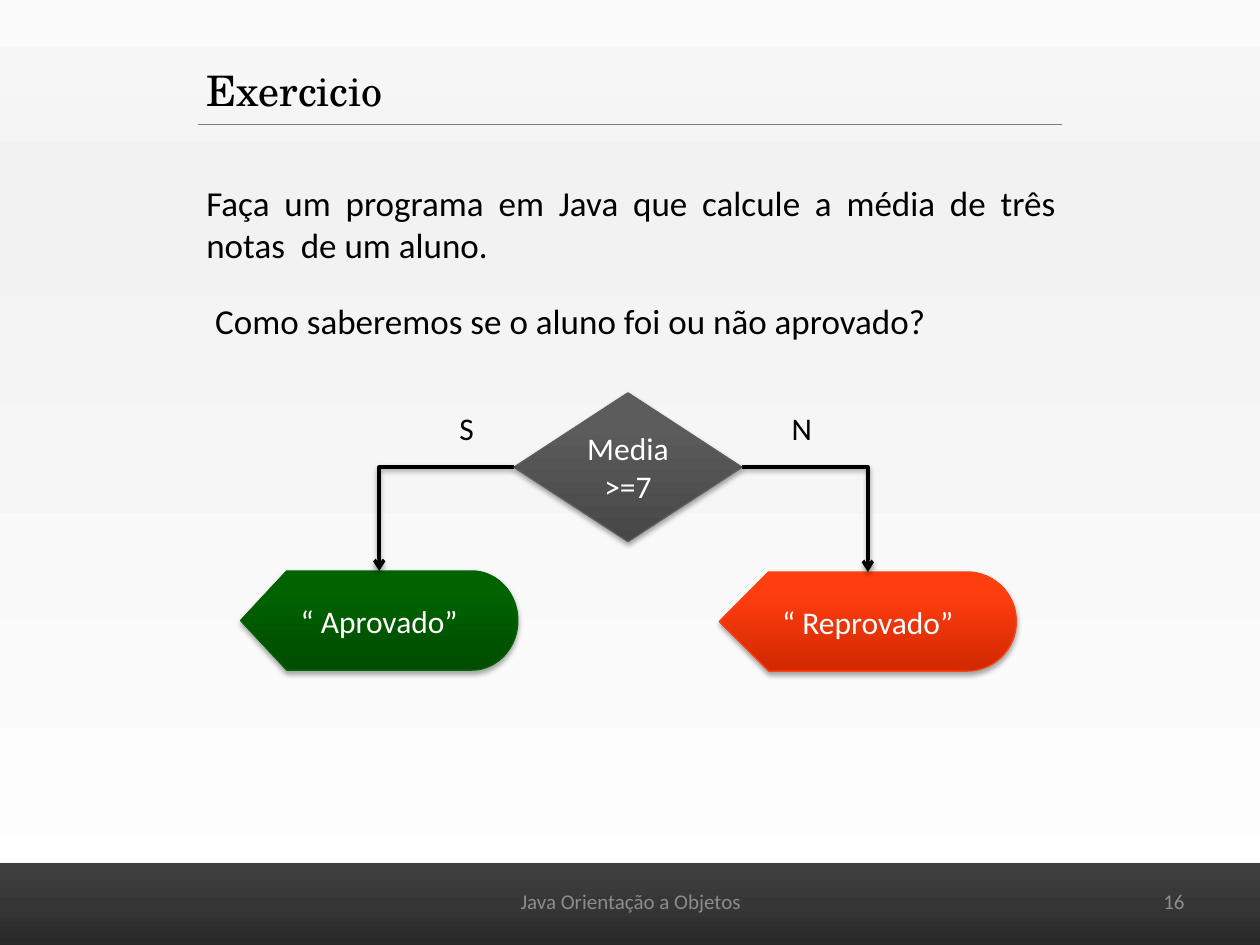
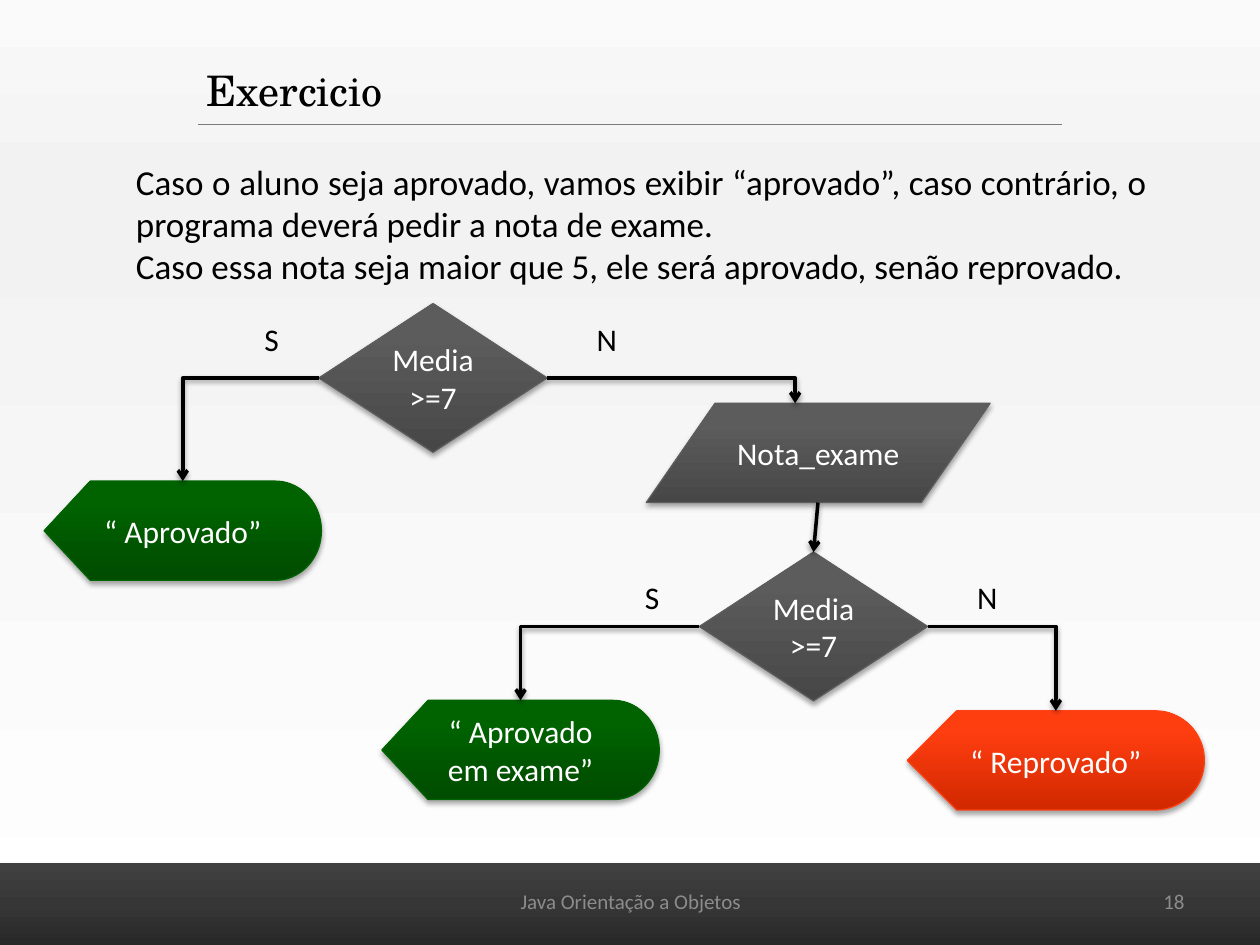
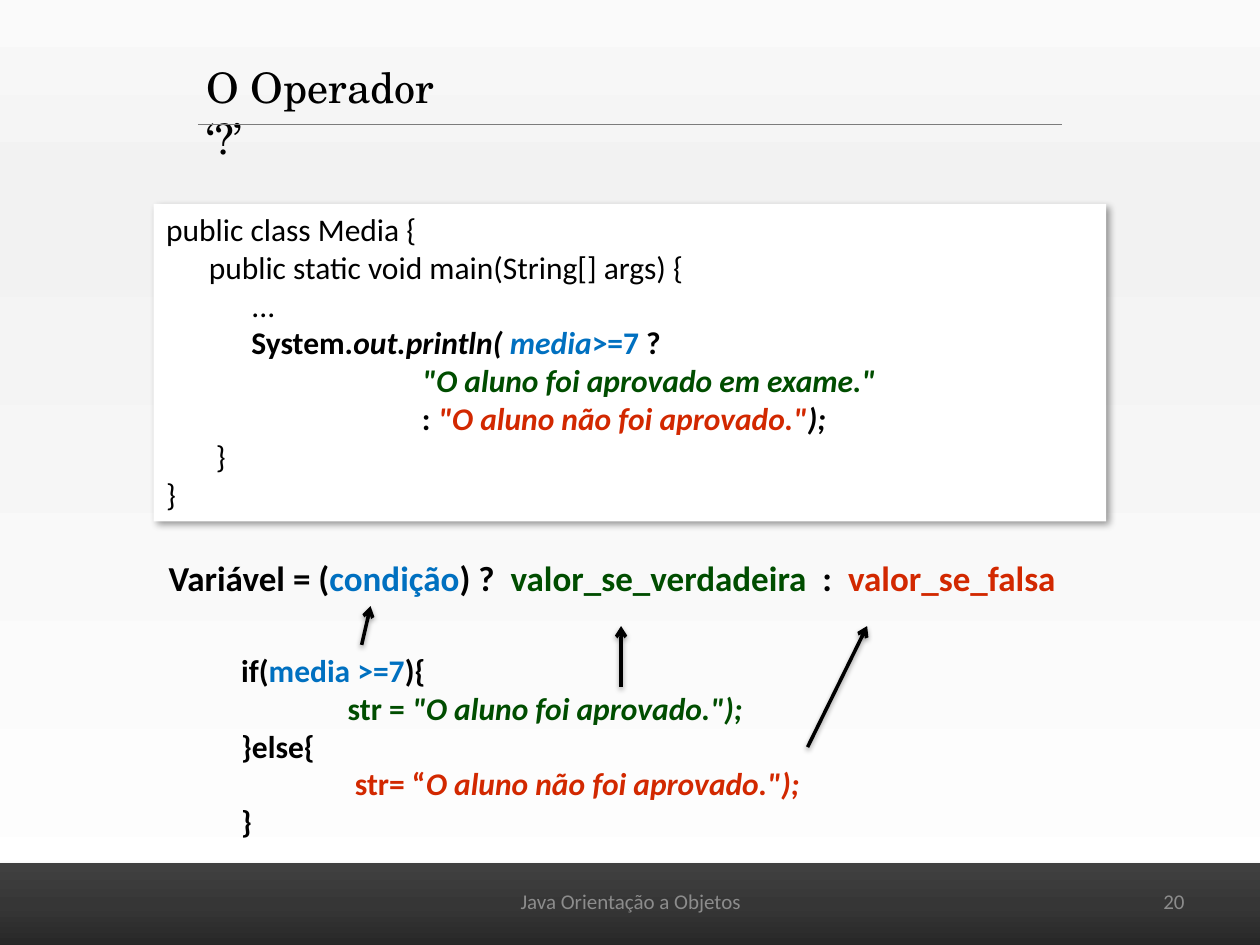
from dataclasses import dataclass
from typing import Optional

from pptx import Presentation
from pptx.dml.color import RGBColor
from pptx.enum.shapes import MSO_CONNECTOR, MSO_SHAPE
from pptx.enum.text import MSO_ANCHOR, MSO_AUTO_SIZE, PP_ALIGN
from pptx.oxml import parse_xml
from pptx.oxml.ns import nsdecls, qn
from pptx.util import Cm, Pt

BODY_FONT = "Calibri"
TITLE_FONT = "TeX Gyre Schola"
BLACK, WHITE, MUTED, RULE = "000000", "FFFFFF", "8C8C8C", "7C7C7C"
BLUE, GREEN, RED = "0070C0", "004D00", "D22800"
TOP, LEFT, BOTTOM, RIGHT = range(4)
DOWN, UP = 90, 270


@dataclass(frozen=True)
class Shadow:
    alpha: int
    blur: float
    distance: float
    angle: int


@dataclass(frozen=True)
class Span:
    text: str
    color: str = BLACK
    bold: bool = False
    italic: bool = False


@dataclass(frozen=True)
class Box:
    left: float
    top: float
    width: float
    height: float

    def lengths(self) -> tuple:
        return Cm(self.left), Cm(self.top), Cm(self.width), Cm(self.height)


@dataclass(frozen=True)
class Symbol:
    outline: MSO_SHAPE
    width: float
    height: float
    stops: tuple
    border: str


@dataclass(frozen=True)
class Arrow:
    x1: float
    y1: float
    x2: float
    y2: float


SHAPE_SHADOW = Shadow(35, 3.1, 1.8, 90)
LINE_SHADOW = Shadow(38, 3.1, 1.6, 90)
CODE_SHADOW = Shadow(40, 4, 3, 45)
TITLE_SHADOW = Shadow(40, 3, 3, 90)

BACKDROP = ((0, "FAFAFA"), (20, "F2F2F2"), (100, WHITE))
BAND = ((0, "262626"), (50, "363636"), (100, "404040"))
GRAY_STOPS = ((0, "474747"), (80, "5C5C5C"), (100, "5C5C5C"))
GREEN_STOPS = ((0, "004C00"), (80, "006300"), (100, "006300"))
RED_STOPS = ((0, "D12800"), (80, "FF3E10"), (100, "FF3F12"))

DECISION = Symbol(MSO_SHAPE.FLOWCHART_DECISION, 4.6, 3, GRAY_STOPS, "5D5D5D")
INPUT = Symbol(MSO_SHAPE.FLOWCHART_DATA, 6.93, 2, GRAY_STOPS, "5D5D5D")
PASSED = Symbol(MSO_SHAPE.FLOWCHART_DISPLAY, 5.59, 2, GREEN_STOPS, "006400")
FAILED = Symbol(MSO_SHAPE.FLOWCHART_DISPLAY, 5.99, 2, RED_STOPS, "FF4013")

TITLE_BOX = Box(3.91, 1.17, 17.48, 1.27)
OPERATOR_TITLE_BOX = Box(3.91, 1.12, 5.7, 1.27)

PRINTLN_CODE = [
    [Span("public class Media {")],
    [Span("      public static void main(String[] args) {")],
    [Span("            ...")],
    [Span("            System.", bold=True), Span("out.println( ", BLACK, True, True),
     Span("media", BLUE, True, True), Span(">=7 ", BLUE, True), Span("?", bold=True)],
    [Span("                                    ", bold=True),
     Span('"O aluno foi aprovado em exame."', GREEN, True, True)],
    [Span("                                    : ", bold=True),
     Span('"O aluno não foi aprovado."', RED, True, True), Span(");", BLACK, True, True)],
    [Span("       ", bold=True), Span("}")],
    [Span("}")],
]
SYNTAX = [[
    Span("Variável = (", bold=True), Span("condição", BLUE, True), Span(") ?  ", bold=True),
    Span("valor_se_verdadeira", GREEN, True), Span("  :  ", bold=True),
    Span("valor_se_falsa", RED, True),
]]
IF_CODE = [
    [Span(" if(", bold=True), Span("media >=7", BLUE, True), Span("){", bold=True)],
    [Span("                str = ", GREEN, True),
     Span('"O aluno foi aprovado.");', GREEN, True, True)],
    [Span(" }else{", bold=True)],
    [Span("                 str= “", RED, True),
     Span('O aluno não foi aprovado.");', RED, True, True)],
    [Span(" }", bold=True)],
]
SYNTAX_ARROWS = [
    Arrow(7.29, 13, 7.47, 12.22),
    Arrow(12.52, 13.84, 12.52, 12.62),
    Arrow(16.28, 15.06, 17.48, 12.62),
]


def rgb(color: str) -> RGBColor:
    return RGBColor.from_string(color)


def set_gradient(holder, stops: tuple, angle: int) -> None:
    marks = "".join(
        f'<a:gs pos="{pos * 1000}"><a:srgbClr val="{color}"/></a:gs>' for pos, color in stops
    )
    gradient = parse_xml(
        f'<a:gradFill {nsdecls("a")} rotWithShape="1"><a:gsLst>{marks}</a:gsLst>'
        f'<a:lin ang="{angle * 60000}" scaled="0"/></a:gradFill>'
    )
    holder.replace(holder.find(qn("a:solidFill")), gradient)


def effects(shadow: Optional[Shadow]):
    outer = ""
    if shadow:
        outer = (
            f'<a:outerShdw blurRad="{Pt(shadow.blur)}" dist="{Pt(shadow.distance)}" '
            f'dir="{shadow.angle * 60000}" rotWithShape="0"><a:srgbClr val="{BLACK}">'
            f'<a:alpha val="{shadow.alpha * 1000}"/></a:srgbClr></a:outerShdw>'
        )
    return parse_xml(f'<a:effectLst {nsdecls("a")}>{outer}</a:effectLst>')


def properties(shape):
    return shape.element.find(qn("p:spPr"))


def write(frame, lines: list, size: float, align=PP_ALIGN.LEFT, font: str = BODY_FONT,
          anchor=MSO_ANCHOR.TOP, wrap: bool = True) -> None:
    frame.word_wrap = wrap
    frame.auto_size = MSO_AUTO_SIZE.NONE
    frame.vertical_anchor = anchor
    for index, spans in enumerate(lines):
        paragraph = frame.add_paragraph() if index else frame.paragraphs[0]
        paragraph.alignment = align
        for span in spans:
            run = paragraph.add_run()
            run.text = span.text
            run.font.name = font
            run.font.size = Pt(size)
            run.font.bold = span.bold
            run.font.italic = span.italic
            run.font.color.rgb = rgb(span.color)


def add_text(slide, box: Box, lines: list, size: float, **options) -> None:
    write(slide.shapes.add_textbox(*box.lengths()).text_frame, lines, size, **options)


def add_panel(slide, outline: MSO_SHAPE, box: Box, shadow: Shadow,
              stops: tuple = (), border: str = ""):
    panel = slide.shapes.add_shape(outline, *box.lengths())
    panel.fill.solid()
    panel.fill.fore_color.rgb = rgb(WHITE)
    if stops:
        set_gradient(properties(panel), stops, UP)
    if border:
        panel.line.color.rgb = rgb(border)
        panel.line.width = Pt(0.75)
    else:
        panel.line.fill.background()
    properties(panel).append(effects(shadow))
    return panel


def add_symbol(slide, symbol: Symbol, left: float, top: float, text: str):
    box = Box(left, top, symbol.width, symbol.height)
    node = add_panel(slide, symbol.outline, box, SHAPE_SHADOW, symbol.stops, symbol.border)
    write(node.text_frame, [[Span(text, WHITE)]], 18,
          align=PP_ALIGN.CENTER, anchor=MSO_ANCHOR.MIDDLE)
    return node


def add_decision(slide, left: float, top: float, label_drop: float = 0.2):
    for label, shift in (("S", -1.35), ("N", 5.35)):
        add_text(slide, Box(left + shift, top + label_drop, 0.9, 1.02),
                 [[Span(label)]], 18, wrap=False)
    return add_symbol(slide, DECISION, left, top, "Media>=7")


def add_line(slide, arrow: Arrow, kind=MSO_CONNECTOR.STRAIGHT, color: str = BLACK,
             width: float = 2, shadow: Optional[Shadow] = LINE_SHADOW, head: bool = True):
    line = slide.shapes.add_connector(
        kind, Cm(arrow.x1), Cm(arrow.y1), Cm(arrow.x2), Cm(arrow.y2))
    line.line.color.rgb = rgb(color)
    line.line.width = Pt(width)
    spec_holder = properties(line)
    if kind == MSO_CONNECTOR.ELBOW:
        spec_holder.find(qn("a:prstGeom")).set("prst", "bentConnector2")
    if head:
        spec_holder.find(qn("a:ln")).append(
            parse_xml(f'<a:tailEnd {nsdecls("a")} type="arrow"/>'))
    spec_holder.append(effects(shadow))
    return line


def add_branch(slide, decision, side: int, outcome) -> None:
    branch = add_line(slide, Arrow(0, 0, 1, 1), MSO_CONNECTOR.ELBOW)
    branch.begin_connect(decision, side)
    branch.end_connect(outcome, TOP)


def add_page(deck, title: str, number: int, title_box: Box = TITLE_BOX,
             title_shadow: Optional[Shadow] = TITLE_SHADOW):
    slide = deck.slides.add_slide(deck.slide_layouts[5])
    heading = slide.shapes.title
    heading.left, heading.top, heading.width, heading.height = title_box.lengths()
    write(heading.text_frame, [[Span(title)]], 24, font=TITLE_FONT)
    if title_shadow:
        for fill in heading.element.iter(qn("a:solidFill")):
            fill.addnext(effects(title_shadow))
    add_panel(slide, MSO_SHAPE.RECTANGLE, Box(-0.3, 17.4, 26, 1.73), SHAPE_SHADOW, BAND)
    add_text(slide, Box(18.21, 17.65, 5.92, 1.02), [[Span(str(number), MUTED)]], 12,
             align=PP_ALIGN.RIGHT, anchor=MSO_ANCHOR.MIDDLE)
    add_text(slide, Box(8.69, 17.65, 8.05, 1.02),
             [[Span("Java Orientação a Objetos", MUTED)]], 12,
             align=PP_ALIGN.CENTER, anchor=MSO_ANCHOR.MIDDLE)
    add_line(slide, Arrow(3.99, 2.51, 21.41, 2.51), color=RULE, width=0.75,
             shadow=None, head=False)
    return slide


def build_average(deck) -> None:
    slide = add_page(deck, "Exercicio", 16)
    add_text(slide, Box(3.91, 3.53, 17.63, 1.96), [[Span(
        "Faça um programa em Java que calcule a média de três notas  de um aluno.")]],
        20, align=PP_ALIGN.JUSTIFY)
    add_text(slide, Box(4.09, 5.92, 17.63, 1.12),
             [[Span("Como saberemos se o aluno foi ou não aprovado?")]],
             20, align=PP_ALIGN.JUSTIFY)
    average = add_decision(slide, 10.36, 7.92)
    passed = add_symbol(slide, PASSED, 4.85, 11.51, "“ Aprovado”")
    failed = add_symbol(slide, FAILED, 14.5, 11.53, "“ Reprovado”")
    add_branch(slide, average, LEFT, passed)
    add_branch(slide, average, RIGHT, failed)


def build_exam(deck) -> None:
    slide = add_page(deck, "Exercicio", 18)
    add_text(slide, Box(2.49, 3.12, 20.88, 2.82), [
        [Span("Caso o aluno seja aprovado, vamos exibir “aprovado”, caso contrário, "
              "o programa deverá pedir a nota de exame.")],
        [Span("Caso essa nota seja maior que 5, ele será aprovado, senão reprovado.")],
    ], 20, align=PP_ALIGN.JUSTIFY)
    average = add_decision(slide, 6.43, 6.12)
    passed = add_symbol(slide, PASSED, 0.89, 9.7, "“ Aprovado”")
    add_symbol(slide, INPUT, 13.03, 8.13, "Nota_exame")
    exam = add_decision(slide, 14.1, 11.13, label_drop=0.4)
    passed_exam = add_symbol(slide, PASSED, 7.7, 14.12, "“ Aprovado em exame”")
    failed = add_symbol(slide, FAILED, 18.29, 14.33, "“ Reprovado”")
    add_branch(slide, average, LEFT, passed)
    add_line(slide, Arrow(11.03, 7.62, 16.03, 8.13), MSO_CONNECTOR.ELBOW)
    add_line(slide, Arrow(16.49, 10.13, 16.4, 11.13)).end_connect(exam, TOP)
    add_branch(slide, exam, LEFT, passed_exam)
    add_branch(slide, exam, RIGHT, failed)


def build_operator(deck) -> None:
    slide = add_page(deck, "O Operador ‘?’", 20, OPERATOR_TITLE_BOX, None)
    add_text(slide, Box(3.15, 11.1, 18.75, 1.12), SYNTAX, 20)
    add_text(slide, Box(4.47, 13, 16.1, 4.11), IF_CODE, 18)
    for arrow in SYNTAX_ARROWS:
        add_line(slide, arrow)
    listing = add_panel(slide, MSO_SHAPE.RECTANGLE, Box(3.1, 4.11, 19.2, 6.4), CODE_SHADOW)
    write(listing.text_frame, PRINTLN_CODE, 18)


def main() -> None:
    deck = Presentation()
    deck.slide_width, deck.slide_height = Cm(25.4), Cm(19.05)
    master = deck.slide_master
    master.background.fill.solid()
    set_gradient(next(master.element.iter(qn("p:bgPr"))), BACKDROP, DOWN)
    build_average(deck)
    build_exam(deck)
    build_operator(deck)
    deck.save("out.pptx")


if __name__ == "__main__":
    main()
